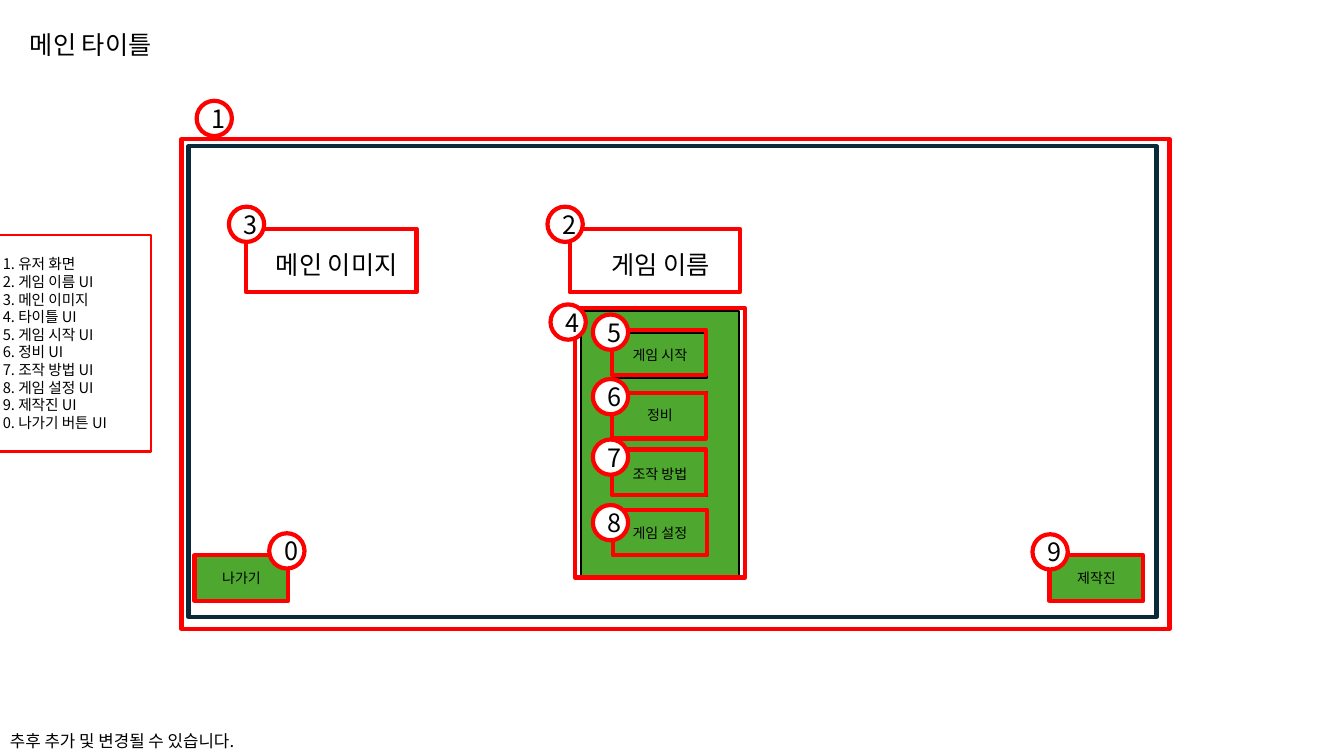
from lxml.etree import SubElement
from pptx import Presentation
from pptx.dml.color import RGBColor
from pptx.enum.shapes import MSO_SHAPE
from pptx.enum.text import MSO_ANCHOR, MSO_AUTO_SIZE, PP_ALIGN
from pptx.oxml.ns import qn
from pptx.util import Inches, Pt

CELL = 0.1
FONT = "Noto Sans CJK KR"
WHITE, BLACK, RED, GREEN, NAVY = "FFFFFF", "000000", "FF0000", "4EA72E", "092A39"
BUTTON_SIZE = (9.3, 4.5)
BADGE_SIZE = (3.5, 3.5)
LABEL_SIZE = (18, 8.8)

MENU_LABELS = ["게임 시작", "정비", "조작 방법", "게임 설정"]
MENU_LEFT, MENU_TOP, MENU_STEP = 60.8, 33, 5.87
EXIT_AT, CREDITS_AT = (19.3, 55.1), (104.1, 55.1)

MARKED_AREAS = [
    (18, 13.8, 98, 48.6),
    (56.5, 22.7, 16.9, 6.3),
    (24.4, 22.7, 16.9, 6.3),
    (57, 30.6, 16.9, 26.7),
    (60.7, 32.7, *BUTTON_SIZE),
    (60.7, 39, *BUTTON_SIZE),
    (60.7, 44.6, *BUTTON_SIZE),
    (60.8, 50.6, *BUTTON_SIZE),
    (*CREDITS_AT, *BUTTON_SIZE),
    (*EXIT_AT, *BUTTON_SIZE),
]
BADGES = {
    "1": (19.5, 10), "2": (54.3, 20.5), "3": (22.7, 20.5),
    "4": (54.6, 30.2), "5": (58.8, 31.2), "6": (58.8, 37.6),
    "7": (58.8, 43.6), "8": (58.8, 50.1), "9": (102.4, 53), "0": (26.7, 52.9),
}
LEGEND = [
    "1. 유저 화면", "2. 게임 이름 UI", "3. 메인 이미지", "4. 타이틀 UI",
    "5. 게임 시작 UI", "6. 정비 UI", "7. 조작 방법 UI", "8. 게임 설정 UI",
    "9. 제작진 UI", "0. 나가기 버튼 UI",
]


def color(hex_value):
    """Turn a hex string into a colour."""
    return RGBColor.from_string(hex_value)


def cells(*counts):
    """Turn counts of grid columns or rows into lengths."""
    return [Inches(count * CELL) for count in counts]


def write(holder, text, size, align=PP_ALIGN.CENTER):
    """Put black, vertically centred text into a shape."""
    frame = holder.text_frame
    frame.text = text
    frame.word_wrap = True
    frame.auto_size = MSO_AUTO_SIZE.NONE
    frame.vertical_anchor = MSO_ANCHOR.MIDDLE
    for paragraph in frame.paragraphs:
        paragraph.alignment = align
        for run in paragraph.runs:
            run.font.size = Pt(size)
            run.font.color.rgb = color(BLACK)
            run.font.name = FONT
            SubElement(run._r.get_or_add_rPr(), qn("a:ea")).set("typeface", FONT)


def add_box(slide, area, fill=None, line=RED, weight=3, preset=MSO_SHAPE.RECTANGLE):
    """Draw an outlined shape on the grid, hollow when no fill is given."""
    box = slide.shapes.add_shape(preset, *cells(*area))
    box.shadow.inherit = False
    if fill:
        box.fill.solid()
        box.fill.fore_color.rgb = color(fill)
    else:
        box.fill.background()
    box.line.color.rgb = color(line)
    box.line.width = Pt(weight)
    return box


def add_button(slide, label, corner):
    """Draw a green button with its label."""
    write(add_box(slide, (*corner, *BUTTON_SIZE), GREEN, BLACK, 1.5), label, 10)


def add_badge(slide, number, corner):
    """Draw a round numbered marker."""
    write(add_box(slide, (*corner, *BADGE_SIZE), WHITE, preset=MSO_SHAPE.OVAL), number, 18)


def add_label(slide, text, area, size, align=PP_ALIGN.CENTER):
    """Place free-standing text on the grid."""
    write(slide.shapes.add_textbox(*cells(*area)), text, size, align)


def add_title(slide, text):
    """Move and format the title placeholder."""
    title = slide.shapes.title
    title.left, title.top, title.width, title.height = cells(0, 0, *LABEL_SIZE)
    write(title, text, 18)


def main():
    """Build the annotated main title screen."""
    deck = Presentation()
    deck.slide_width, deck.slide_height = Inches(13.33), Inches(7.5)
    slide = deck.slides.add_slide(deck.slide_layouts[5])
    add_title(slide, "메인 타이틀")

    add_box(slide, (18.7, 14.5, 96, 46.7), WHITE, NAVY)
    add_box(slide, (57.6, 30.9, 15.7, 26.4), GREEN, BLACK, 1.5)
    add_label(slide, "게임 이름", (56.5, 21.8, *LABEL_SIZE), 18)
    add_label(slide, "메인 이미지", (24.4, 21.8, *LABEL_SIZE), 18)
    for index, label in enumerate(MENU_LABELS):
        add_button(slide, label, (MENU_LEFT, MENU_TOP + index * MENU_STEP))
    add_button(slide, "제작진", CREDITS_AT)
    add_button(slide, "나가기", EXIT_AT)

    for area in MARKED_AREAS:
        add_box(slide, area)
    for number, corner in BADGES.items():
        add_badge(slide, number, corner)

    legend = add_box(slide, (-0.7, 23.3, 15.7, 21.5), WHITE, weight=1.5)
    write(legend, "\n".join(LEGEND), 10.5, PP_ALIGN.LEFT)
    add_label(slide, "추후 추가 및 변경될 수 있습니다.", (0, 72.3, 42.5, 2.4), 12, PP_ALIGN.LEFT)
    deck.save("out.pptx")


if __name__ == "__main__":
    main()
